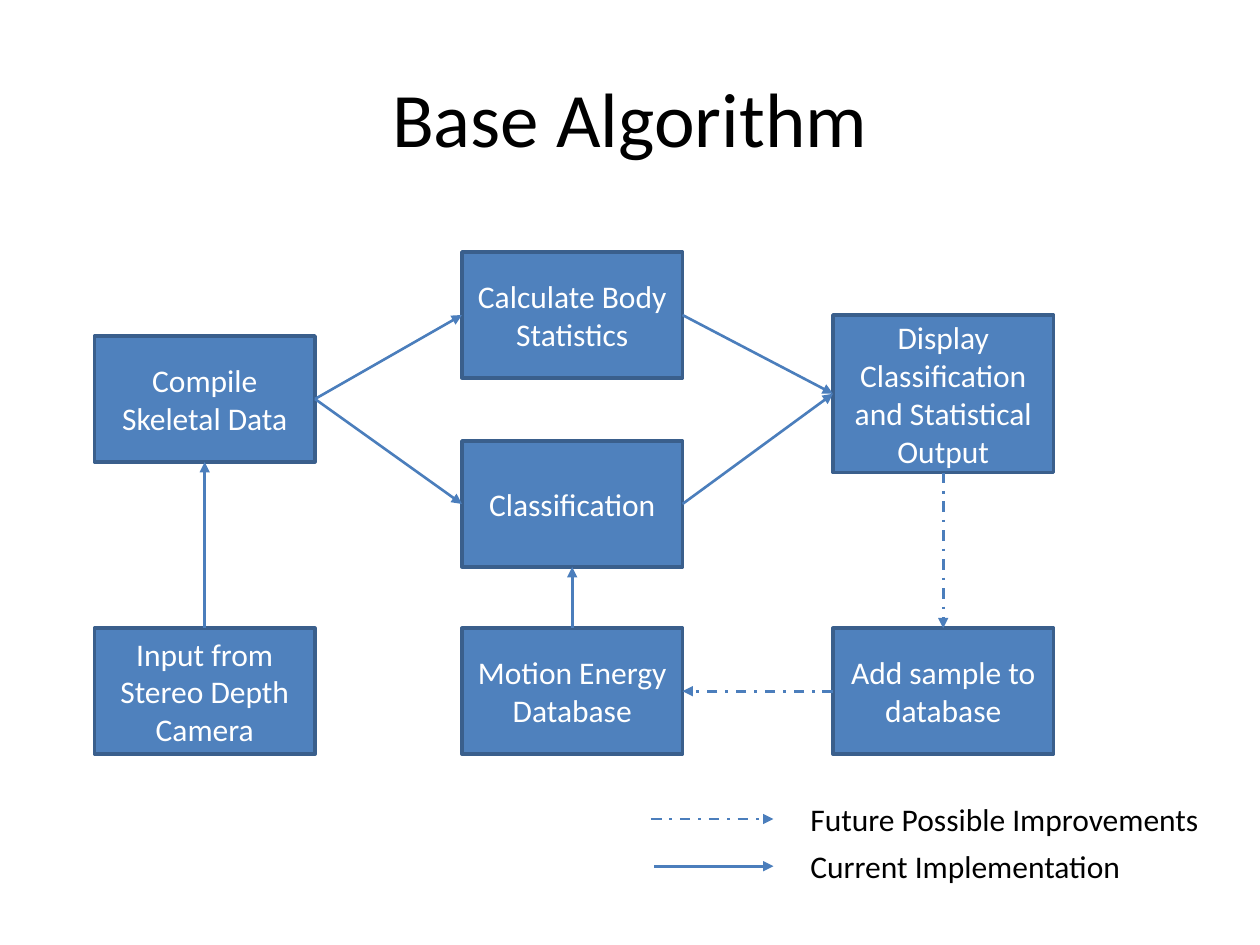
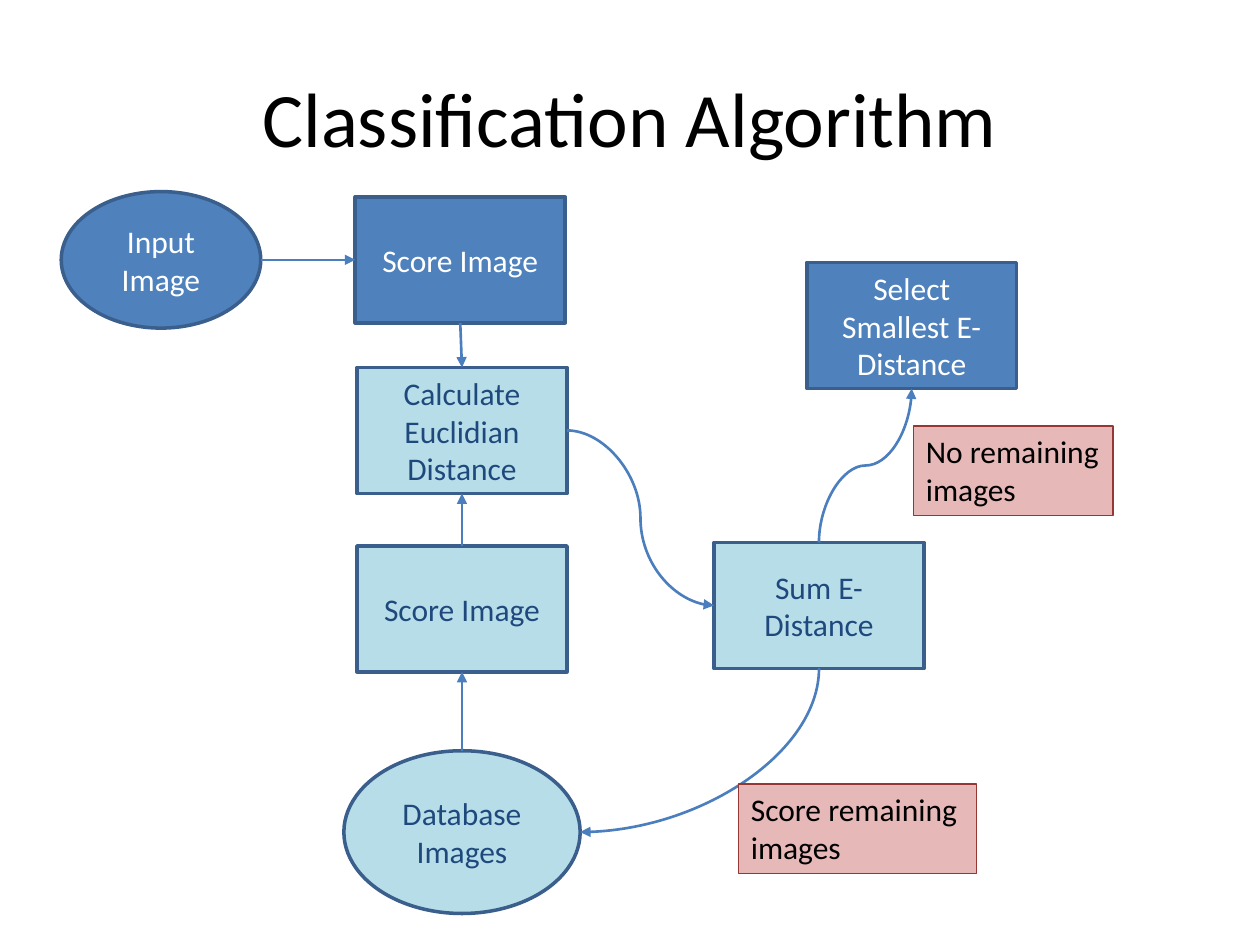
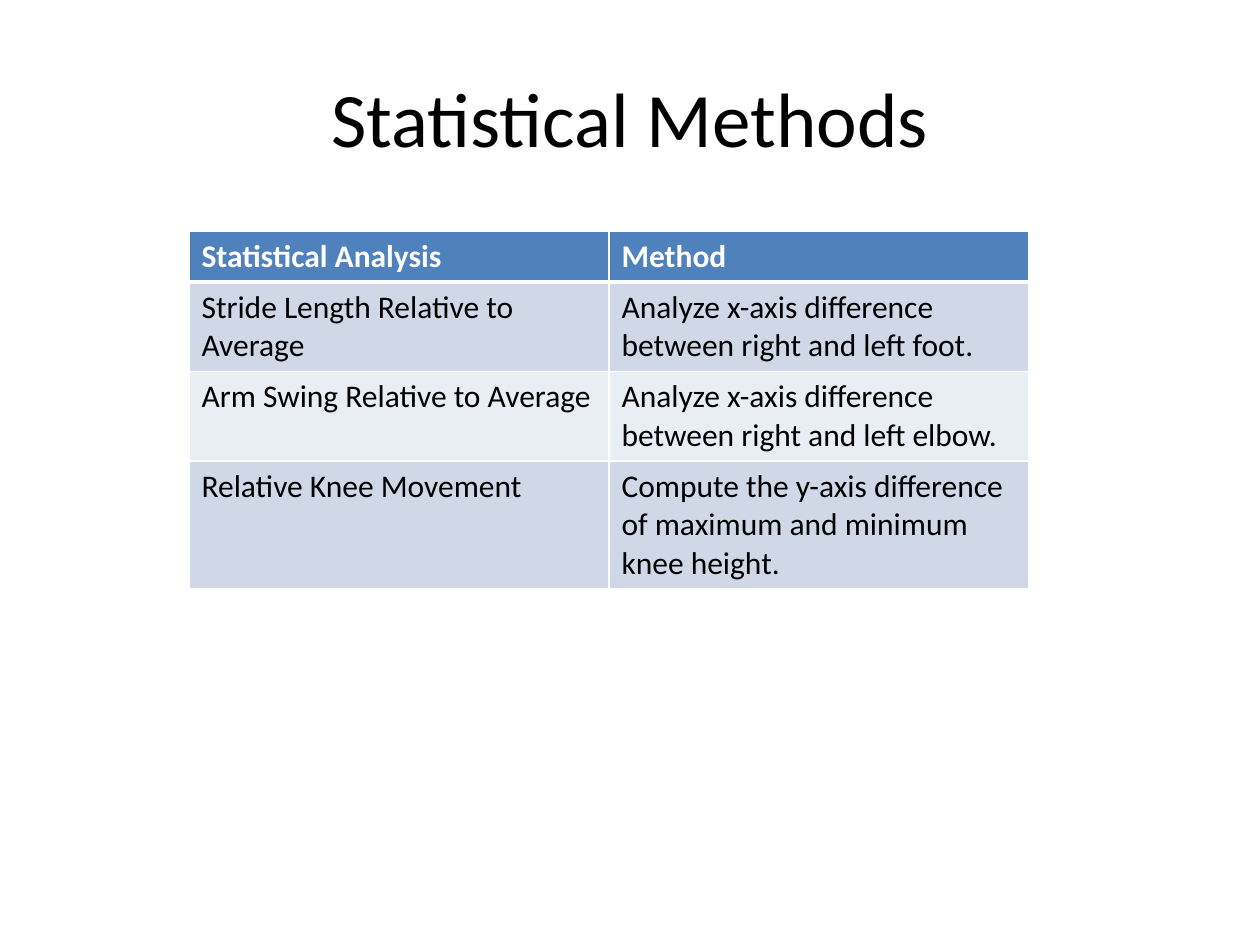
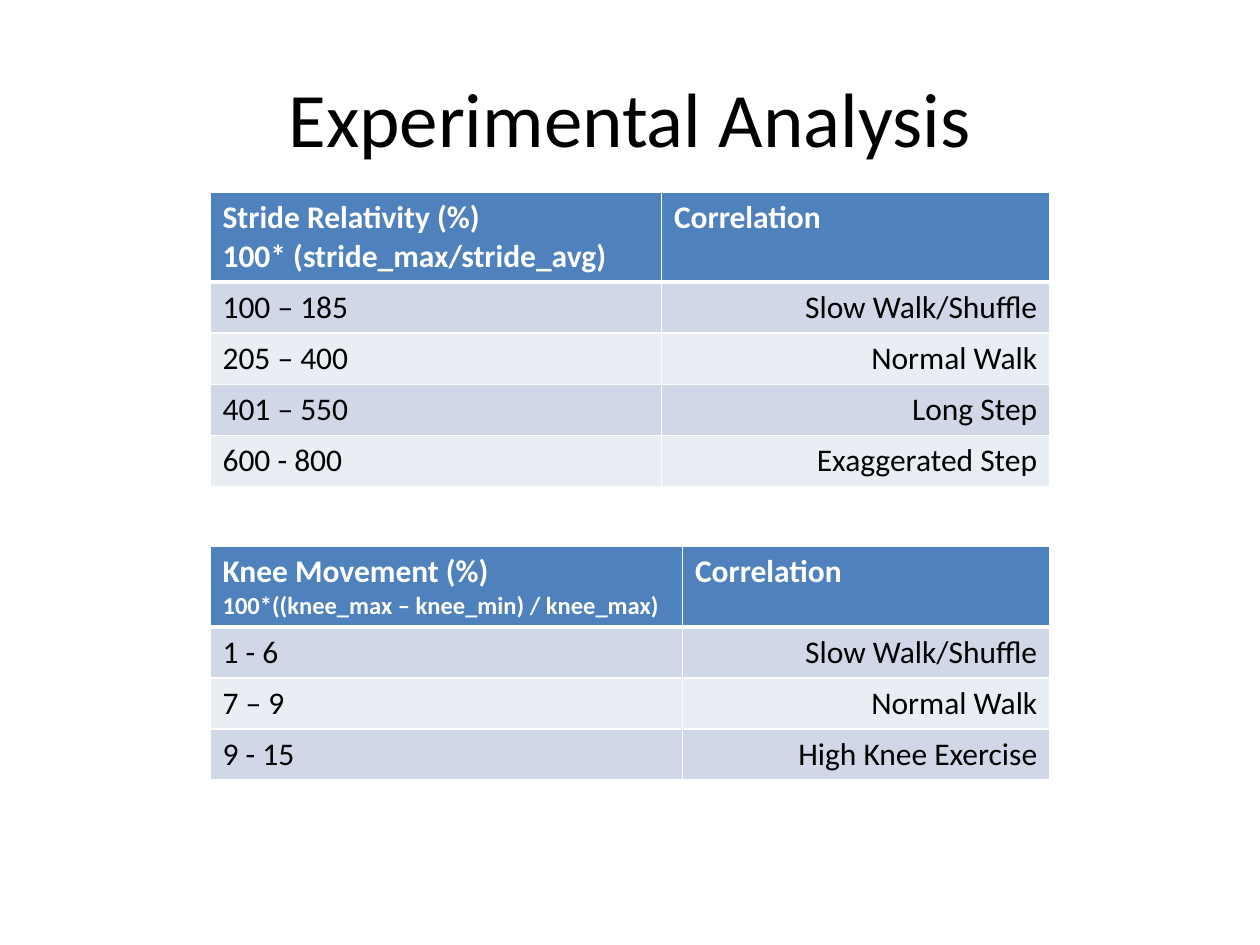
from lxml import etree
from pptx import Presentation
from pptx.dml.color import RGBColor
from pptx.enum.dml import MSO_LINE
from pptx.enum.shapes import MSO_CONNECTOR, MSO_SHAPE
from pptx.enum.text import MSO_ANCHOR, MSO_AUTO_SIZE, PP_ALIGN
from pptx.oxml.ns import qn
from pptx.util import Pt

RECT, OVAL = MSO_SHAPE.RECTANGLE, MSO_SHAPE.OVAL
STRAIGHT, CURVE = MSO_CONNECTOR.STRAIGHT, MSO_CONNECTOR.CURVE
SOLID, DASH_DOT = MSO_LINE.SOLID, MSO_LINE.DASH_DOT
LEFT, CENTER, RIGHT = PP_ALIGN.LEFT, PP_ALIGN.CENTER, PP_ALIGN.RIGHT
MIDDLE, TOP = MSO_ANCHOR.MIDDLE, MSO_ANCHOR.TOP
FIT_SHAPE = MSO_AUTO_SIZE.SHAPE_TO_FIT_TEXT
TOP_SIDE, LEFT_SIDE, BOTTOM_SIDE, RIGHT_SIDE = range(4)

FONT = "Calibri"
COLORS = {
    "black": "000000",
    "white": "FFFFFF",
    "blue": "4F81BD",
    "outline": "3A5F8C",
    "arrow": "4B7EBC",
    "aqua": "B7DEE8",
    "navy": "1F497D",
    "pink": "E6B9B8",
    "dark red": "953735",
    "odd row": "D0D8E8",
    "even row": "E9EDF4",
}
RGB = {name: RGBColor.from_string(value) for name, value in COLORS.items()}


def write(frame, text, size=18, formula_size=None, color="black", bold=False,
          align=LEFT, anchor=TOP):
    """Fill a text frame; lines after the first take formula_size if given."""
    frame.text = text
    frame.vertical_anchor = anchor
    for number, paragraph in enumerate(frame.paragraphs):
        paragraph.alignment = align
        font = paragraph.runs[0].font
        font.name = FONT
        font.size = Pt(formula_size if number and formula_size else size)
        font.bold = bold
        font.color.rgb = RGB[color]


def add_arrow(slide, start=(0, 0), finish=(0, 0), kind=STRAIGHT, dash=SOLID):
    ends = [Pt(value) for value in (*start, *finish)]
    arrow = slide.shapes.add_connector(kind, *ends)
    arrow.line.color.rgb = RGB["arrow"]
    arrow.line.width = Pt(1.5)
    arrow.line.dash_style = dash
    outline = arrow.line._get_or_add_ln()
    etree.SubElement(outline, qn("a:tailEnd"), type="triangle")
    etree.SubElement(arrow._element.spPr, qn("a:effectLst"))
    return arrow


deck = Presentation()
deck.slide_width, deck.slide_height = Pt(720), Pt(540)
title_only = deck.slide_layouts[5]

# Slides and titles
for heading in ("Base Algorithm", "Classification Algorithm",
                "Statistical Methods", "Experimental Analysis"):
    title = deck.slides.add_slide(title_only).shapes.title
    title.left, title.top, title.width, title.height = Pt(36), Pt(21.6), Pt(648), Pt(90)
    write(title.text_frame, heading, size=44, align=CENTER, anchor=MIDDLE)
base, classification, methods, analysis = deck.slides

# Steps of both flow charts: slide, key, text, shape, fill, left, top, width, height
steps = [
    (base, "compile", "Compile Skeletal Data", RECT, "blue", 54, 192, 126, 72),
    (base, "classify", "Classification", RECT, "blue", 264, 252, 126, 72),
    (base, "motion", "Motion Energy Database", RECT, "blue", 264, 359, 126, 72),
    (base, "statistics", "Calculate Body Statistics", RECT, "blue", 264, 144, 126, 72),
    (base, "camera", "Input from Stereo Depth Camera", RECT, "blue", 54, 359, 126, 72),
    (base, "sample", "Add sample to database", RECT, "blue", 476, 359, 126, 72),
    (base, "display", "Display Classification and Statistical Output", RECT, "blue",
     476, 180, 126, 90),
    (classification, "input", "Input Image", OVAL, "blue", 35, 109.5, 114, 78),
    (classification, "database", "Database Images", OVAL, "aqua", 196.5, 429, 135, 93),
    (classification, "score input", "Score Image", RECT, "blue", 203, 112.5, 120, 72),
    (classification, "score database", "Score Image", RECT, "aqua", 204, 312, 120, 72),
    (classification, "sum", "Sum E-Distance", RECT, "aqua", 408, 310, 120, 72),
    (classification, "select", "Select Smallest E-Distance", RECT, "blue",
     461, 150, 120, 72),
    (classification, "distance", "Calculate Euclidian Distance", RECT, "aqua",
     204, 210, 120, 72),
]
step_boxes = {}
for slide, key, text, outline, fill, *place in steps:
    box = slide.shapes.add_shape(outline, *[Pt(value) for value in place])
    box.shadow.inherit = False
    box.fill.solid()
    box.fill.fore_color.rgb = RGB[fill]
    box.line.color.rgb = RGB["outline"]
    box.line.width = Pt(2)
    write(box.text_frame, text, color="white" if fill == "blue" else "navy",
          align=CENTER, anchor=MIDDLE)
    step_boxes[key] = box

# Flow between steps: slide, from, side, to, side, kind, dash, preset, rotation
flows = [
    (base, "camera", TOP_SIDE, "compile", BOTTOM_SIDE),
    (base, "compile", RIGHT_SIDE, "statistics", LEFT_SIDE),
    (base, "compile", RIGHT_SIDE, "classify", LEFT_SIDE),
    (base, "statistics", RIGHT_SIDE, "display", LEFT_SIDE),
    (base, "classify", RIGHT_SIDE, "display", LEFT_SIDE),
    (base, "motion", TOP_SIDE, "classify", BOTTOM_SIDE),
    (base, "display", BOTTOM_SIDE, "sample", TOP_SIDE, STRAIGHT, DASH_DOT),
    (base, "sample", LEFT_SIDE, "motion", RIGHT_SIDE, STRAIGHT, DASH_DOT),
    (classification, "input", RIGHT_SIDE, "score input", LEFT_SIDE),
    (classification, "database", TOP_SIDE, "score database", BOTTOM_SIDE),
    (classification, "score database", TOP_SIDE, "distance", BOTTOM_SIDE),
    (classification, "score input", BOTTOM_SIDE, "distance", TOP_SIDE),
    (classification, "distance", RIGHT_SIDE, "sum", LEFT_SIDE, CURVE),
    (classification, "sum", BOTTOM_SIDE, "database", RIGHT_SIDE, CURVE, SOLID,
     "curvedConnector2", 90),
    (classification, "sum", TOP_SIDE, "select", BOTTOM_SIDE, CURVE, SOLID,
     "curvedConnector3", 270),
]
for slide, source, source_side, target, target_side, *look in flows:
    kind, dash, preset, rotation = (*look, *(STRAIGHT, SOLID, None, 0)[len(look):])
    arrow = add_arrow(slide, kind=kind, dash=dash)
    arrow.begin_connect(step_boxes[source], source_side)
    arrow.end_connect(step_boxes[target], target_side)
    # Ovals have eight connection sites, so each side counts double
    for key, side, tag in ((source, source_side, "stCxn"), (target, target_side, "endCxn")):
        if step_boxes[key].auto_shape_type == OVAL:
            arrow._element.find(".//" + qn("a:" + tag)).set("idx", str(2 * side))
    # A turned curve keeps its centre and swaps width and height
    if rotation:
        width, height = arrow.height, arrow.width
        arrow.left += (height - width) // 2
        arrow.top += (width - height) // 2
        arrow.width, arrow.height = width, height
        frame = arrow._element.spPr.find(qn("a:xfrm"))
        for flip in ("flipH", "flipV"):
            frame.attrib.pop(flip, None)
        frame.set("rot", str(rotation * 60000))
        arrow._element.spPr.find(qn("a:prstGeom")).set("prst", preset)

# Legend of the base algorithm
for meaning, dash, start, middle, width in (
        ("Future Possible Improvements", DASH_DOT, 372, 468, 239),
        ("Current Implementation", SOLID, 374, 495, 194)):
    add_arrow(base, (start, middle), (442, middle), dash=dash)
    legend = base.shapes.add_textbox(Pt(456), Pt(middle - 14.5), Pt(width), Pt(29))
    write(legend.text_frame, meaning)
    legend.text_frame.word_wrap = False
    legend.text_frame.auto_size = FIT_SHAPE

# Conditions on the loop of the classification algorithm
for condition, left, top, width in (("Score remaining images", 422, 448, 136),
                                    ("No remaining images", 522, 243.5, 114)):
    note = classification.shapes.add_textbox(Pt(left), Pt(top), Pt(width), Pt(51))
    note.fill.solid()
    note.fill.fore_color.rgb = RGB["pink"]
    note.line.color.rgb = RGB["dark red"]
    note.line.width = Pt(0.75)
    write(note.text_frame, condition)
    note.text_frame.word_wrap = True
    note.text_frame.auto_size = FIT_SHAPE

# Tables: slide, left, top, column widths, alignment of second column, rows
tables = [
    (methods, 108, 132, (240, 240), LEFT, [
        ("Statistical Analysis", "Method"),
        ("Stride Length Relative to Average",
         "Analyze x-axis difference between right and left foot."),
        ("Arm Swing Relative to Average",
         "Analyze x-axis difference between right and left elbow."),
        ("Relative Knee Movement",
         "Compute the y-axis difference of maximum and minimum knee height."),
    ]),
    (analysis, 120, 110, (258, 222), RIGHT, [
        ("Stride Relativity (%)\n100* (stride_max/stride_avg)", "Correlation"),
        ("100 – 185", "Slow Walk/Shuffle"),
        ("205 – 400", "Normal Walk"),
        ("401 – 550", "Long Step"),
        ("600 - 800", "Exaggerated Step"),
    ]),
    (analysis, 120, 312, (270, 210), RIGHT, [
        ("Knee Movement (%)\n100*((knee_max – knee_min) / knee_max)", "Correlation"),
        ("1 - 6", "Slow Walk/Shuffle"),
        ("7 – 9", "Normal Walk"),
        ("9 - 15", "High Knee Exercise"),
    ]),
]
ROW_HEIGHT = 29.2
for slide, left, top, widths, second_align, rows in tables:
    table = slide.shapes.add_table(
        len(rows), len(widths), Pt(left), Pt(top),
        Pt(sum(widths)), Pt(ROW_HEIGHT * len(rows))).table
    for column, width in zip(table.columns, widths):
        column.width = Pt(width)
    for r, row in enumerate(rows):
        is_header = r == 0
        for c, text in enumerate(row):
            cell = table.cell(r, c)
            borders = {"lnL": 1, "lnR": 1, "lnT": 3 if r == 1 else 1,
                       "lnB": 3 if is_header else 1}
            for edge, weight in borders.items():
                border = etree.SubElement(cell._tc.get_or_add_tcPr(), qn("a:" + edge),
                                          w=str(Pt(weight)))
                paint = etree.SubElement(border, qn("a:solidFill"))
                etree.SubElement(paint, qn("a:srgbClr"), val=COLORS["white"])
            cell.fill.solid()
            fill = "blue" if is_header else "odd row" if r % 2 else "even row"
            cell.fill.fore_color.rgb = RGB[fill]
            write(cell.text_frame, text, bold=is_header,
                  color="white" if is_header else "black",
                  formula_size=14 if text.startswith("Knee") else None,
                  align=second_align if c and not is_header else LEFT)
            cell.vertical_anchor = TOP

deck.save("out.pptx")
